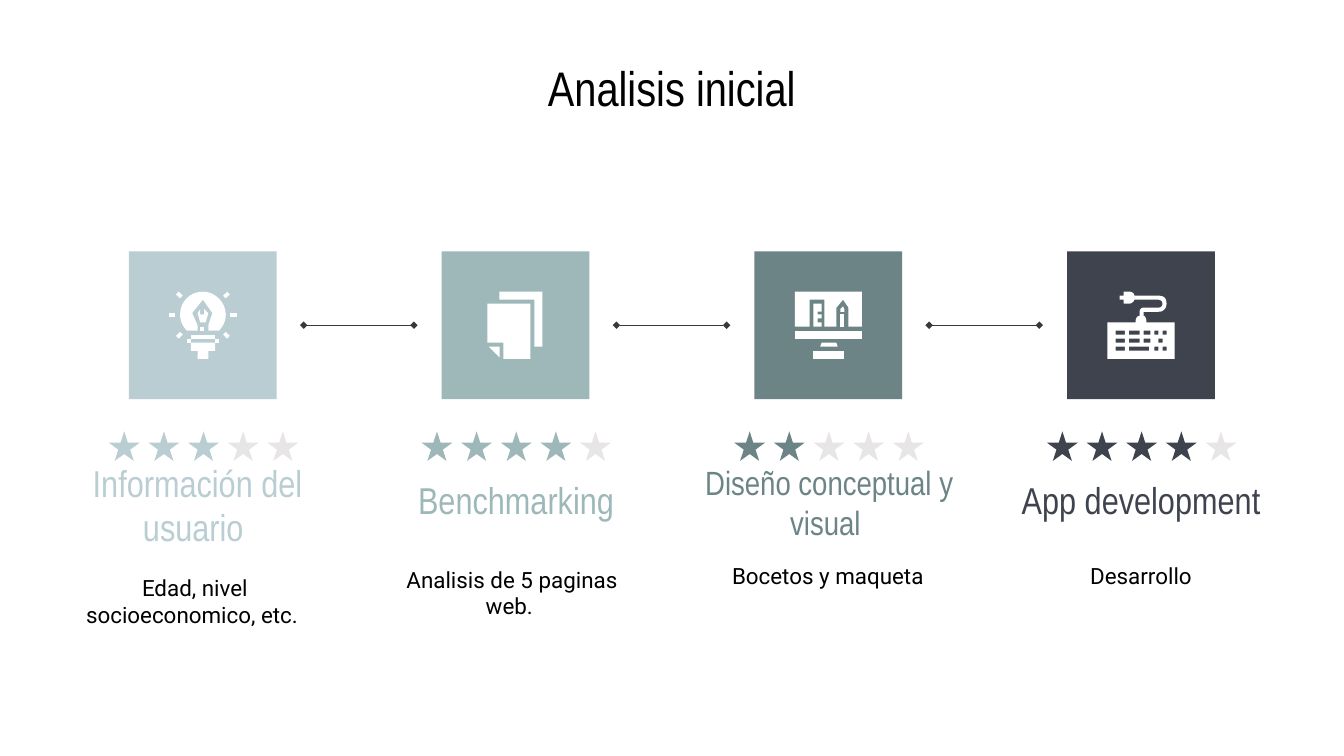
from lxml import etree
from pptx import Presentation
from pptx.dml.color import RGBColor
from pptx.enum.shapes import MSO_CONNECTOR, MSO_SHAPE
from pptx.enum.text import MSO_ANCHOR, PP_ALIGN
from pptx.oxml.ns import qn
from pptx.util import Inches, Pt

SQUARE, STAR = MSO_SHAPE.RECTANGLE, MSO_SHAPE.STAR_5_POINT
STRAIGHT = MSO_CONNECTOR.STRAIGHT
MIDDLE, CENTER = MSO_ANCHOR.MIDDLE, PP_ALIGN.CENTER

HEADING_FONT, BODY_FONT = "Arial Narrow", "Roboto"
BLACK, WHITE, EMPTY_STAR, LINK = "000000", "FFFFFF", "E8E5E6", "38383B"

# Slide and card grid, in inches
SLIDE_WIDTH = 10
SLIDE_HEIGHT = SLIDE_WIDTH * 9 / 16
FIRST_LEFT, CARD_TOP, CARD_SIZE = 0.96, 1.87, 1.1
CARD_STEP = (7.94 - FIRST_LEFT) / 3
STAR_STEP = 1.18 / 4
ICON_INSET = 0.3


def box(left, top, right, bottom):
    return [(left, top), (left, bottom), (right, bottom), (right, top)]


# Icons in hundredths of an inch: each part is a list of closed outlines.
# A pair is a straight step, six numbers are a cubic curve.
BULB = [
    [box(34, 35, 37, 38)],
    [box(13, 35, 16, 38)],
    [[(23, 13), (21, 16), (23, 23), (27, 23), (29, 16), (26, 13), (26, 17), (23, 17)]],
    [box(16, 32, 34, 35)],
    [[(16, 38), (16, 44), (21, 44), (21, 50), (29, 50), (29, 44), (34, 44), (34, 38)]],
    [[(25, 0), (15, 0, 8, 8, 8, 17), (8, 22, 10, 26, 13, 29), (21, 29), (21, 25),
      (17, 16), (25, 6), (32, 16), (29, 25), (29, 29), (37, 29),
      (40, 26, 42, 22, 42, 17), (42, 8, 34, 0, 25, 0)]],
    [box(23, 26, 26, 29)],
    [[(43, 0), (40, 3), (42, 5), (45, 2)]],
    [[(8, 30), (5, 33), (7, 35), (10, 32)]],
    [box(45, 16, 50, 19)],
    [box(0, 16, 4, 19)],
    [[(42, 30), (40, 32), (43, 35), (45, 33)]],
    [[(7, 0), (5, 2), (8, 5), (10, 3)]],
]
PAGES = [
    [[(4, 9), (4, 38), (16, 38), (16, 50), (36, 50), (36, 9)]],
    [[(5, 41), (13, 49), (13, 41)]],
    [[(13, 0), (13, 6), (39, 6), (39, 41), (45, 41), (45, 0)]],
]
MONITOR = [
    [box(0, 29, 50, 35)],
    [[(20, 38), (19, 41), (32, 41), (31, 38)]],
    [box(14, 44, 37, 50)],
    [[(36, 11), (34, 13), (34, 15), (37, 15), (37, 13)]],
    [[(0, 0), (0, 26), (11, 26), (11, 6), (22, 6), (22, 26), (31, 26), (31, 12),
      (36, 6), (40, 12), (40, 26), (50, 26), (50, 0)]],
    [[(14, 9), (14, 26), (20, 26), (20, 23), (17, 23), (17, 20), (20, 20), (20, 17),
      (17, 17), (17, 15), (20, 15), (20, 9)]],
    [box(34, 17, 37, 26)],
]
KEY_ROWS = {
    29: [(6, 13), (16, 24), (27, 32), (35, 38), (41, 44)],
    35: [(6, 13), (16, 24), (27, 32), (38, 41)],
    41: [(6, 13), (16, 31), (35, 38), (41, 44)],
}
KEYS = [box(left, top, right, top + 3)
        for top, spans in KEY_ROWS.items() for left, right in spans]
KEYBOARD = [KEYS + [
    [(12, 0), (12, 3), (9, 3), (9, 6), (12, 6), (12, 9), (16, 9),
     (18, 9, 20, 7, 20, 6), (38, 6), (42, 6, 42, 12, 38, 12), (27, 12),
     (25, 12, 24, 13, 24, 15), (24, 18), (22, 18, 21, 20, 21, 22), (21, 23),
     (0, 23), (0, 50), (50, 50), (50, 23), (29, 23), (29, 22),
     (29, 20, 28, 18, 27, 18), (27, 15), (38, 15), (42, 15, 44, 12, 44, 9),
     (44, 5, 42, 3, 38, 3), (20, 3), (20, 1, 18, 0, 16, 0)],
]]

# Colour, filled stars, icon, heading (text, size, place), detail (text, place)
CARDS = [
    ("B9CDD3", 3, BULB, ("Información del usuario ", 20, (0.19, 3.57, 2.56, 0.37)),
     ("Edad, nivel socioeconomico, etc. ", (0.39, 4.09, 2.12, 0.76))),
    ("9EB8BA", 4, PAGES, ("Benchmarking", 20, (2.78, 3.53, 2.12, 0.37)),
     ("Analisis de 5 paginas web. ", (2.75, 4.03, 2.12, 0.76))),
    ("6C8486", 2, MONITOR, ("Diseño conceptual y visual ", 18, (4.9, 3.55, 2.54, 0.37)),
     ("Bocetos y maqueta", (5.1, 3.9, 2.12, 0.76))),
    ("3E434E", 4, KEYBOARD, ("App development", 20, (7.43, 3.53, 2.12, 0.37)),
     ("Desarrollo", (7.43, 3.9, 2.12, 0.76))),
]


def rgb(color):
    return RGBColor.from_string(color)


def apply_format(target, values):
    for name, value in values.items():
        setattr(target, name, value)


def paint(shape, color):
    shape.shadow.inherit = False
    shape.fill.solid()
    shape.fill.fore_color.rgb = rgb(color)
    shape.line.fill.background()


def add_text(slide, text, place, size, font, color):
    frame = slide.shapes.add_textbox(*map(Inches, place)).text_frame
    margins = {f"margin_{side}": Inches(0.1) for side in ("left", "top", "right", "bottom")}
    apply_format(frame, {"word_wrap": True, "vertical_anchor": MIDDLE, **margins})
    paragraph = frame.paragraphs[0]
    paragraph.alignment = CENTER
    run = paragraph.add_run()
    run.text = text
    apply_format(run.font, {"size": Pt(size), "name": font})
    run.font.color.rgb = rgb(color)


def add_block(slide, kind, place, color):
    paint(slide.shapes.add_shape(kind, *map(Inches, place)), color)


def flatten(outline, steps=8):
    """Turn an outline into points, sampling its curves."""
    points = []
    for step in outline:
        if len(step) == 2:
            points.append(step)
            continue
        controls = [points[-1], step[:2], step[2:4], step[4:]]
        for i in range(1, steps + 1):
            t = i / steps
            weights = ((1 - t) ** 3, 3 * t * (1 - t) ** 2, 3 * t * t * (1 - t), t ** 3)
            points.append(tuple(sum(w * p[axis] for w, p in zip(weights, controls))
                                for axis in (0, 1)))
    return [(10 * x, 10 * y) for x, y in points]


def add_icon(slide, parts, left, top):
    icon = slide.shapes.add_group_shape()
    for outlines in parts:
        first, *others = map(flatten, outlines)
        builder = icon.shapes.build_freeform(*first[0], scale=Inches(0.001))
        builder.add_line_segments(first[1:], close=True)
        for points in others:
            builder.move_to(*points[0])
            builder.add_line_segments(points[1:], close=True)
        paint(builder.convert_to_shape(Inches(left), Inches(top)), WHITE)


def add_link(slide, left, right, y):
    link = slide.shapes.add_connector(STRAIGHT, *map(Inches, (left, y, right, y)))
    link.line.width = Pt(0.75)
    link.line.color.rgb = rgb(LINK)
    outline = link.line._get_or_add_ln()
    for end in ("a:headEnd", "a:tailEnd"):
        etree.SubElement(outline, qn(end), type="diamond", w="sm", len="sm")
    etree.SubElement(link._element.spPr, qn("a:effectLst"))


def add_card(slide, left, color, rating, icon, heading, detail):
    title, size, title_place = heading
    add_text(slide, title, title_place, size, HEADING_FONT, color)
    body, body_place = detail
    add_text(slide, body, body_place, 12, BODY_FONT, BLACK)
    for i in range(5):
        place = (left - 0.15 + i * STAR_STEP, 3.21, 0.23, 0.22)
        add_block(slide, STAR, place, color if i < rating else EMPTY_STAR)
    add_block(slide, SQUARE, (left, CARD_TOP, CARD_SIZE, CARD_SIZE), color)
    add_icon(slide, icon, left + ICON_INSET, CARD_TOP + ICON_INSET)


def main():
    deck = Presentation()
    apply_format(deck, {"slide_width": Inches(SLIDE_WIDTH),
                        "slide_height": Inches(SLIDE_HEIGHT)})
    slide = deck.slides.add_slide(deck.slide_layouts[6])

    # Title
    add_text(slide, "Analisis inicial", (0.45, 0.33, 9.1, 0.63), 26, HEADING_FONT, BLACK)

    # Cards
    lefts = [FIRST_LEFT + i * CARD_STEP for i in range(len(CARDS))]
    for left, card in zip(lefts, CARDS):
        add_card(slide, left, *card)

    # Links between neighbouring cards
    for left in lefts[:-1]:
        add_link(slide, left + 1.3, left + 2.12, CARD_TOP + CARD_SIZE / 2)

    deck.save("out.pptx")


if __name__ == "__main__":
    main()
